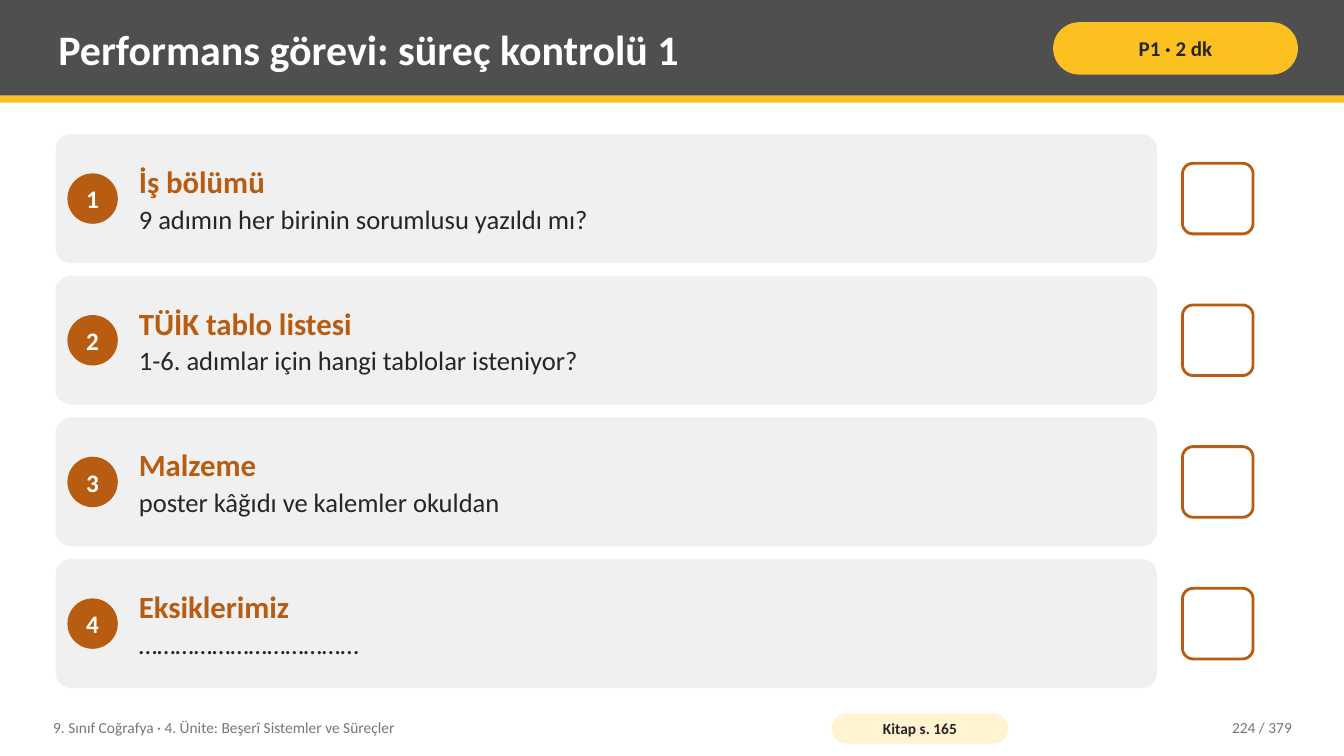
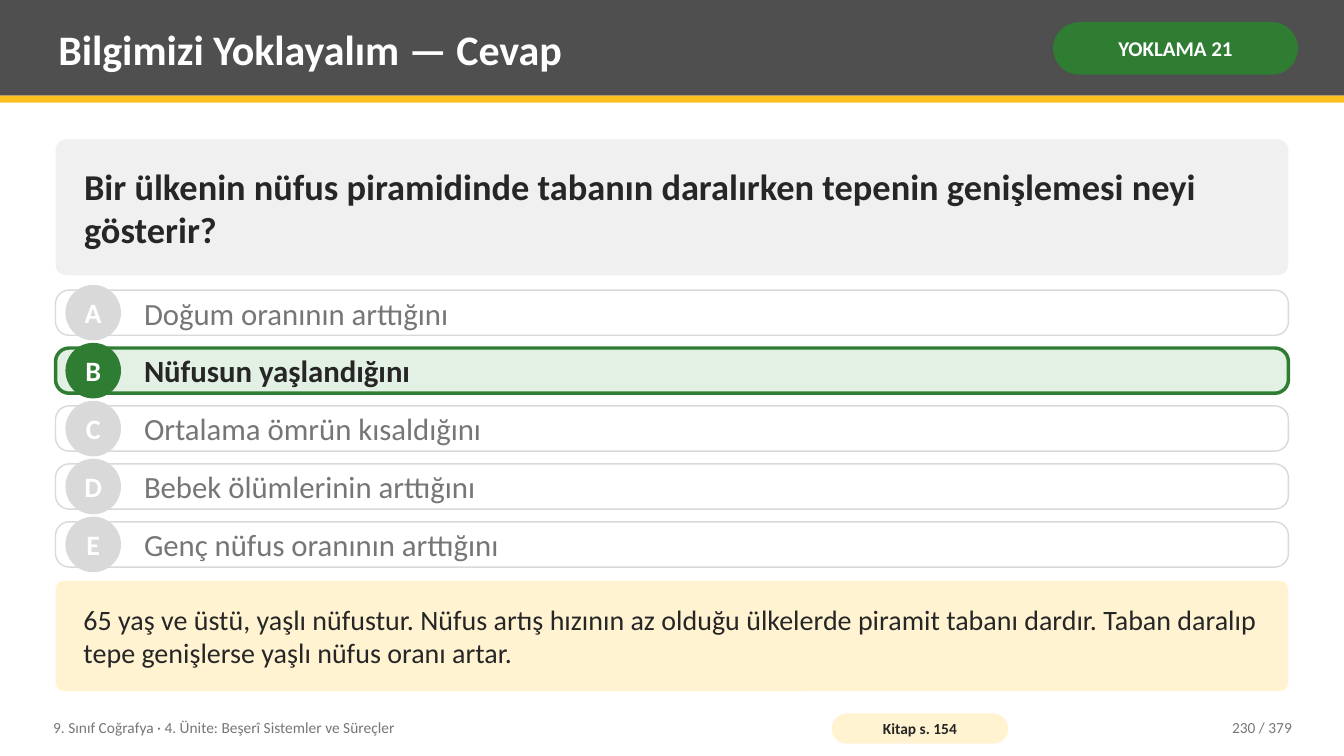
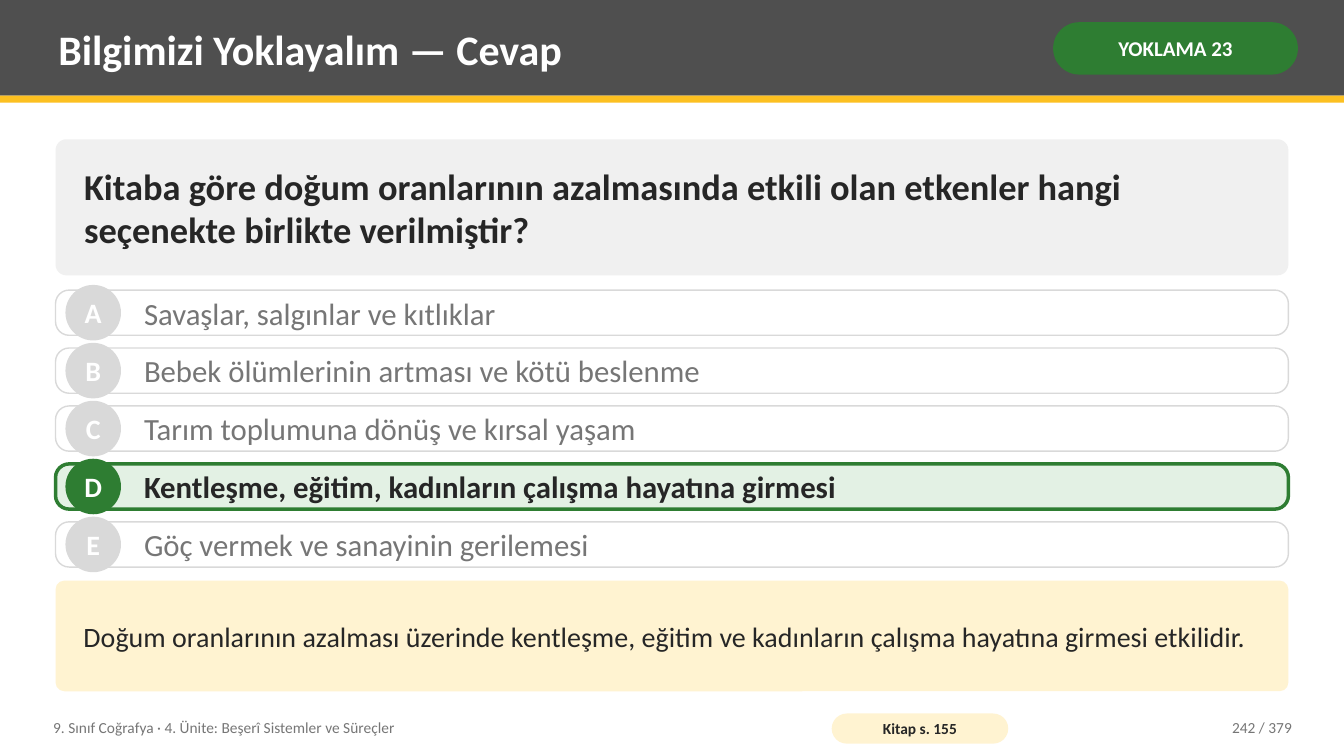
"""Build three geography lesson slides: a task checklist and two quiz answers."""
from pptx import Presentation
from pptx.dml.color import RGBColor
from pptx.enum.shapes import MSO_SHAPE as Kind
from pptx.enum.text import MSO_ANCHOR as Anchor, PP_ALIGN as Align
from pptx.util import Cm, Pt

FONT = "Calibri"
WHITE = RGBColor(0xFF, 0xFF, 0xFF)
INK = RGBColor(0x26, 0x26, 0x26)
DARK = RGBColor(0x4F, 0x4F, 0x4F)
GRAY = RGBColor(0x76, 0x76, 0x76)
SILVER = RGBColor(0xD9, 0xD9, 0xD9)
PALE = RGBColor(0xF0, 0xF0, 0xF0)
GOLD = RGBColor(0xFC, 0xC0, 0x21)
CREAM = RGBColor(0xFF, 0xF3, 0xD1)
RUST = RGBColor(0xB8, 0x5C, 0x12)
GREEN = RGBColor(0x2E, 0x7D, 0x32)
MINT = RGBColor(0xE3, 0xF1, 0xE4)

WIDTH, HEIGHT = 33.87, 19.05
LEFT = 1.4
FULL = WIDTH - 2 * LEFT
UNIT = "9. Sınıf Coğrafya · 4. Ünite: Beşerî Sistemler ve Süreçler"
TOTAL = 379


def draw(slide, kind, area, fill, round=None, line=None, thick=1):
    shape = slide.shapes.add_shape(kind, *map(Cm, area))
    shape.shadow.inherit = False
    shape.fill.solid()
    shape.fill.fore_color.rgb = fill
    if round is not None:
        shape.adjustments[0] = round
    if line is None:
        shape.line.fill.background()
    else:
        shape.line.color.rgb = line
        shape.line.width = Pt(thick)
    return shape


def write(shape, lines, align=Align.LEFT, pad=(0.2, 0.1), wrap=True):
    frame = shape.text_frame
    frame.word_wrap = wrap
    frame.vertical_anchor = Anchor.MIDDLE
    frame.margin_left = frame.margin_right = Cm(pad[0])
    frame.margin_top = frame.margin_bottom = Cm(pad[1])
    for num, (text, size, color, bold) in enumerate(lines):
        para = frame.add_paragraph() if num else frame.paragraphs[0]
        para.text = text
        para.alignment = align
        if num < len(lines) - 1:
            para.space_after = Pt(2)
        font = para.font
        font.name, font.size, font.bold = FONT, Pt(size), bold
        font.color.rgb = color


deck = Presentation()
deck.slide_width, deck.slide_height = Cm(WIDTH), Cm(HEIGHT)

heads = [
    ("Performans görevi: süreç kontrolü 1", "P1 · 2 dk", GOLD, INK, 165, 224),
    ("Bilgimizi Yoklayalım — Cevap", "YOKLAMA 21", GREEN, WHITE, 154, 230),
    ("Bilgimizi Yoklayalım — Cevap", "YOKLAMA 23", GREEN, WHITE, 155, 242),
]
slides = []
for title, badge, fill, ink, book, page in heads:
    slide = deck.slides.add_slide(deck.slide_layouts[6])
    slides.append(slide)
    draw(slide, Kind.RECTANGLE, (0, 0, WIDTH, 2.41), DARK)
    draw(slide, Kind.RECTANGLE, (0, 2.41, WIDTH, 0.18), GOLD)
    pill = draw(slide, Kind.ROUNDED_RECTANGLE, (26.54, 0.56, 6.17, 1.32), fill, 0.5)
    write(pill, [(badge, 15, ink, True)], Align.CENTER, (0.13, 0.05))
    pill = draw(slide, Kind.ROUNDED_RECTANGLE, (20.96, 17.98, 4.45, 0.76), CREAM, 0.5)
    write(pill, [(f"Kitap s. {book}", 11, INK, True)], Align.CENTER, (0.1, 0))
    for area, line, align in (
        ((1.27, 0.18, 24.77, 2.08), (title, 30, WHITE, True), Align.LEFT),
        ((1.14, 17.88, 19.3, 0.91), (UNIT, 11, GRAY, False), Align.LEFT),
        ((28.7, 17.88, 4.06, 0.91), (f"{page} / {TOTAL}", 11, GRAY, False), Align.RIGHT),
    ):
        write(slide.shapes.add_textbox(*map(Cm, area)), [line], align)

tasks = [
    ("İş bölümü", "9 adımın her birinin sorumlusu yazıldı mı?"),
    ("TÜİK tablo listesi", "1-6. adımlar için hangi tablolar isteniyor?"),
    ("Malzeme", "poster kâğıdı ve kalemler okuldan"),
    ("Eksiklerimiz", "………………………………"),
]
tall, dot, tick = 3.25, 1.27, 1.78
slide = slides[0]
for num, (name, note) in enumerate(tasks):
    top = 3.38 + num * 3.57
    mid = top + tall / 2
    draw(slide, Kind.ROUNDED_RECTANGLE, (LEFT, top, 27.76, tall), PALE, 0.12)
    disc = draw(slide, Kind.OVAL, (1.7, mid - dot / 2, dot, dot), RUST)
    write(disc, [(str(num + 1), 18, WHITE, True)], Align.CENTER, (0, 0), False)
    label = slide.shapes.add_textbox(Cm(3.3), Cm(top), Cm(25.65), Cm(tall))
    write(label, [(name, 22, RUST, True), (note, 19, INK, False)])
    draw(slide, Kind.ROUNDED_RECTANGLE, (29.8, mid - tick / 2, tick, tick),
         WHITE, 0.15, RUST, 2)

quizzes = [
    (
        "Bir ülkenin nüfus piramidinde tabanın daralırken tepenin genişlemesi neyi gösterir?",
        ["Doğum oranının arttığını", "Nüfusun yaşlandığını", "Ortalama ömrün kısaldığını",
         "Bebek ölümlerinin arttığını", "Genç nüfus oranının arttığını"],
        "B",
        "65 yaş ve üstü, yaşlı nüfustur. Nüfus artış hızının az olduğu ülkelerde piramit "
        "tabanı dardır. Taban daralıp tepe genişlerse yaşlı nüfus oranı artar.",
    ),
    (
        "Kitaba göre doğum oranlarının azalmasında etkili olan etkenler hangi seçenekte "
        "birlikte verilmiştir?",
        ["Savaşlar, salgınlar ve kıtlıklar", "Bebek ölümlerinin artması ve kötü beslenme",
         "Tarım toplumuna dönüş ve kırsal yaşam",
         "Kentleşme, eğitim, kadınların çalışma hayatına girmesi",
         "Göç vermek ve sanayinin gerilemesi"],
        "D",
        "Doğum oranlarının azalması üzerinde kentleşme, eğitim ve kadınların çalışma "
        "hayatına girmesi etkilidir.",
    ),
]
tall, dot = 1.14, 1.4
for slide, (ask, picks, key, why) in zip(slides[1:], quizzes):
    for top, high, fill, line in (
        (3.51, 3.43, PALE, (ask, 26, INK, True)),
        (14.63, 2.79, CREAM, (why, 20, INK, False)),
    ):
        panel = draw(slide, Kind.ROUNDED_RECTANGLE, (LEFT, top, FULL, high), fill, 0.08)
        write(panel, [line], pad=(0.64, 0.2))
    for num, (mark, pick) in enumerate(zip("ABCDE", picks)):
        top = 7.31 + num * 1.46
        right = mark == key
        fill, edge, thick, ink = (MINT, GREEN, 2.5, INK) if right else (WHITE, SILVER, 1, GRAY)
        draw(slide, Kind.ROUNDED_RECTANGLE, (LEFT, top, FULL, tall), fill, 0.3, edge, thick)
        disc = draw(slide, Kind.OVAL, (1.65, top + (tall - dot) / 2, dot, dot), edge)
        write(disc, [(mark, 20, WHITE, True)], Align.CENTER, (0, 0), False)
        label = slide.shapes.add_textbox(Cm(3.43), Cm(top), Cm(28.52), Cm(tall))
        write(label, [(pick, 22, ink, right)])

deck.save("out.pptx")
